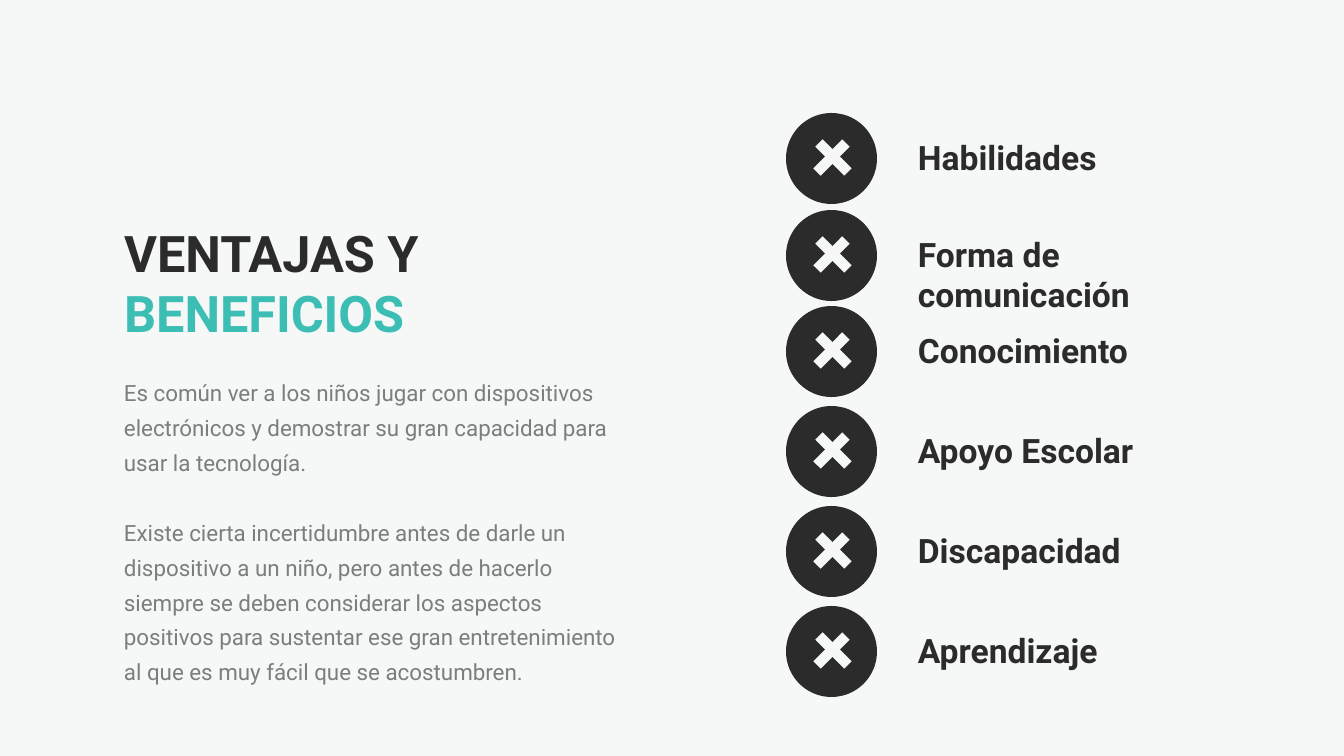
import pptx
import pptx.dml.color
import pptx.enum.shapes
import pptx.enum.text
import pptx.oxml
import pptx.util

INK, TEAL, PAPER = "2B2B2B", "3CBEB4", "F6F8F8"
DRAWING = 'xmlns:a="http://schemas.openxmlformats.org/drawingml/2006/main"'
PX = 914400 / 100.8


def emu(*lengths):
    """Turn px lengths into EMU."""
    return [round(length * PX) for length in lengths]


def write(box, paragraphs, size, bold=False, line_spacing=None, gap=0, alpha=None):
    """Fill a box with paragraphs, each a list of (text, colour) spans."""
    frame = box.text_frame
    frame.word_wrap = True
    frame.auto_size = pptx.enum.text.MSO_AUTO_SIZE.SHAPE_TO_FIT_TEXT
    frame.vertical_anchor = pptx.enum.text.MSO_ANCHOR.TOP
    for index, spans in enumerate(paragraphs):
        para = frame.add_paragraph() if index else frame.paragraphs[0]
        para.alignment = pptx.enum.text.PP_ALIGN.LEFT
        para.line_spacing = line_spacing
        para.space_before = pptx.util.Pt(gap if index else 0)
        for text, colour in spans:
            span = para.add_run()
            span.text = text
            span.font.name = "Roboto"
            span.font.size = pptx.util.Pt(size)
            span.font.bold = bold
            span.font.color.rgb = pptx.dml.color.RGBColor.from_string(colour)
            if alpha:
                span.font.fill._xPr.solidFill[0].append(
                    pptx.oxml.parse_xml(f'<a:alpha {DRAWING} val="{alpha * 1000}"/>'))


deck = pptx.Presentation()
deck.slide_width, deck.slide_height = emu(1344, 756)
page = deck.slides.add_slide(deck.slide_layouts[5])
page.background.fill.solid()
page.background.fill.fore_color.rgb = pptx.dml.color.RGBColor.from_string(PAPER)

title = page.shapes.title
title.left, title.top, title.width, title.height = emu(114, 217, 556, 72)
write(title, [[("VENTAJAS Y ", INK), ("BENEFICIOS", TEAL)]], size=36, bold=True)

body = page.shapes.add_textbox(*emu(114, 366, 523, 325))
write(body, [
    [("Es común ver a los niños jugar con dispositivos electrónicos y demostrar "
      "su gran capacidad para usar la tecnología.", INK)],
    [("Existe cierta incertidumbre antes de darle un dispositivo a un niño, pero "
      "antes de hacerlo siempre se deben considerar los aspectos positivos para "
      "sustentar ese gran entretenimiento al que es muy fácil que se acostumbren.", INK)],
], size=16, line_spacing=1.3, gap=25, alpha=60)

left = 786
cross_strokes = [(60, 30, 31, 59), (62, 59, 33, 30)]
benefits = [
    ("Habilidades", 113, 292),
    ("Forma de comunicación", 210, 359),
    ("Conocimiento", 306, 292),
    ("Apoyo Escolar", 406, 292),
    ("Discapacidad", 506, 359),
    ("Aprendizaje", 606, 359),
]
for name, top, width in benefits:
    group = page.shapes.add_group_shape().shapes
    circle = group.add_shape(pptx.enum.shapes.MSO_SHAPE.OVAL, *emu(left, top, 91, 91))
    circle.shadow.inherit = False
    circle.fill.solid()
    circle.fill.fore_color.rgb = pptx.dml.color.RGBColor.from_string(INK)
    circle.line.fill.background()
    for x1, y1, x2, y2 in cross_strokes:
        stroke = group.add_connector(
            pptx.enum.shapes.MSO_CONNECTOR.STRAIGHT,
            *emu(left + x1, top + y1, left + x2, top + y2))
        stroke.line.width = pptx.util.Pt(7.5)
        stroke.line.color.rgb = pptx.dml.color.RGBColor.from_string(PAPER)
        stroke._element.spPr.append(pptx.oxml.parse_xml(f"<a:effectLst {DRAWING}/>"))
    label = group.add_textbox(*emu(left + 122, top + 19, width, 50))
    write(label, [[(name, INK)]], size=24, bold=True)

deck.save("out.pptx")
